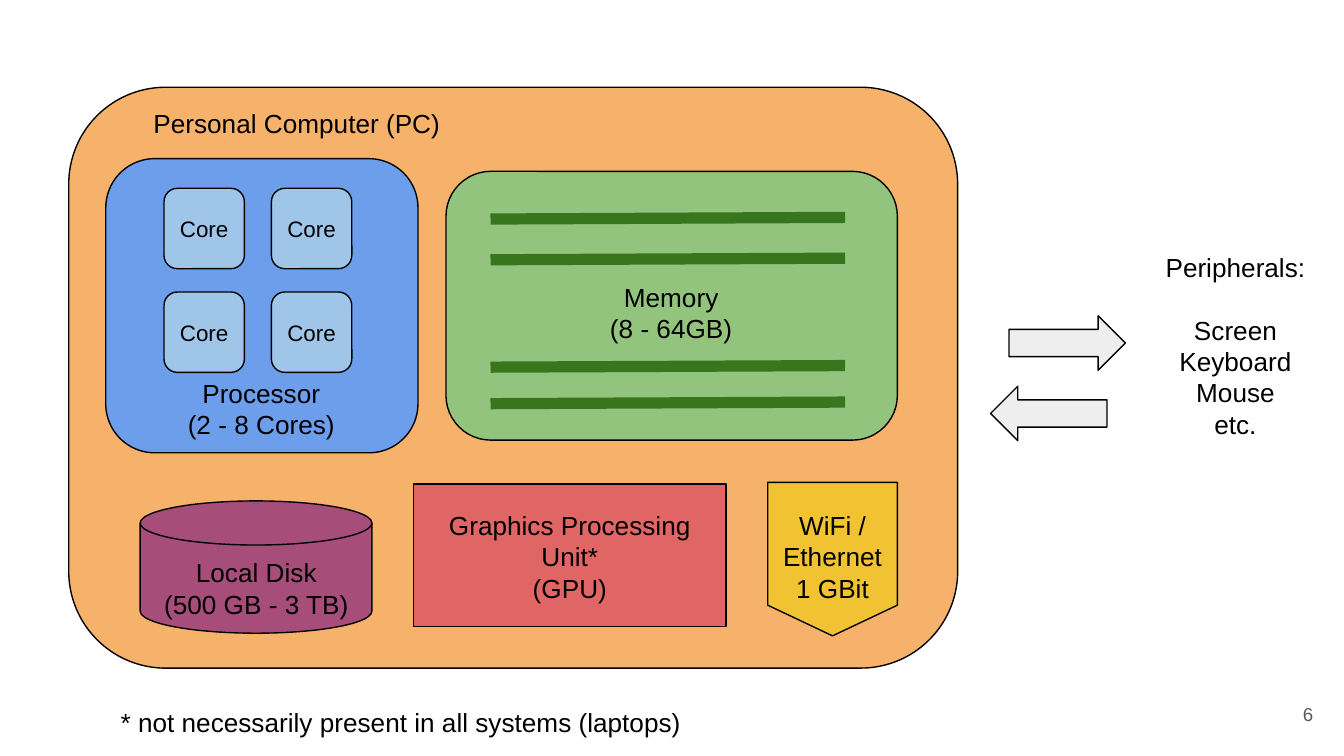
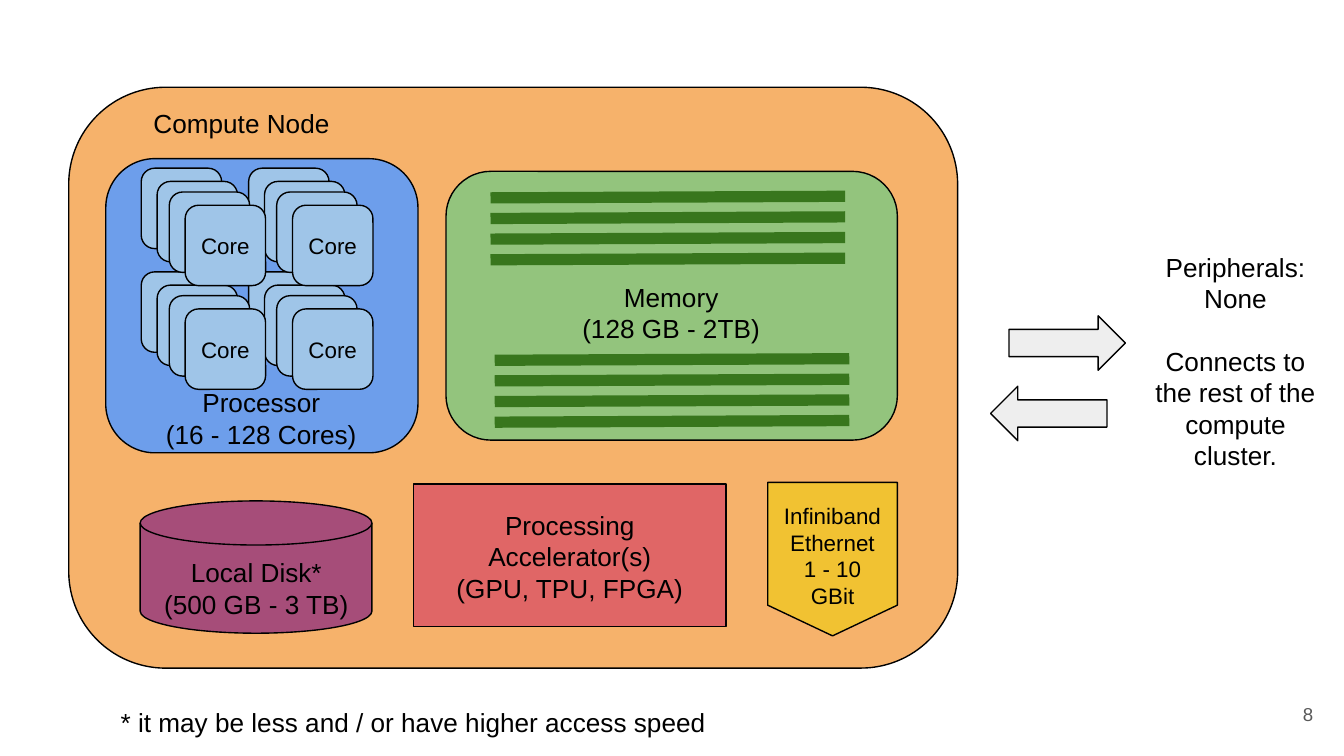
"""Build two slides comparing the hardware of a personal computer and a compute node."""
from itertools import product

from lxml.etree import SubElement
from pptx import Presentation
from pptx.dml.color import RGBColor
from pptx.enum.shapes import MSO_CONNECTOR as Connector, MSO_SHAPE as Shape
from pptx.enum.text import MSO_ANCHOR as Anchor, MSO_AUTO_SIZE as AutoSize, PP_ALIGN as Align
from pptx.oxml.ns import qn
from pptx.util import Cm, Pt

COLORS = {
    "text": "000000",
    "number": "595959",
    "machine": "F6B26B",
    "processor": "6D9EEB",
    "core": "9FC5E8",
    "memory": "93C47D",
    "bar": "38761D",
    "disk": "A64D79",
    "accelerator": "E06666",
    "network": "F1C232",
    "arrow": "EEEEEE",
}
FONT = "Arial"
INSET = 0.25
CORE_SIZE, CORE_PITCH_X, CORE_PITCH_Y = 1.52, 2.03, 1.96
BAR_LENGTH, BAR_RISE = 6.7, 0.03

PARTS = {
    "machine": (Shape.ROUNDED_RECTANGLE, (1.3, 1.65, 16.8, 10.98)),
    "processor": (Shape.ROUNDED_RECTANGLE, (2, 3, 5.9, 5.56)),
    "memory": (Shape.ROUNDED_RECTANGLE, (8.43, 3.24, 8.53, 5.08)),
    "disk": (Shape.FLOWCHART_MAGNETIC_DISK, (2.65, 9.47, 4.38, 2.5)),
    "accelerator": (Shape.RECTANGLE, (7.82, 9.15, 5.9, 2.7)),
    "network": (Shape.FLOWCHART_OFFPAGE_CONNECTOR, (14.51, 9.12, 2.45, 2.9)),
}
ARROWS = [((19.07, 5.97, 2.2, 1.03), 0), ((18.72, 7.3, 2.2, 1.03), 180)]
LABEL_BOXES = {
    "machine": (2.65, 1.78, 6.38, 1.12),
    "memory": (8.81, 5.06, 7.75, 1.7),
    "disk": (0.97, 10.27, 7.75, 1.7),
    "accelerator": (7.82, 9.38, 5.9, 2.9),
    "peripherals": (21.5, 4.5, 3.7, 4.11),
    "note": (2.03, 13.1, 15.3, 1.12),
}
LEFT_ALIGNED = ("machine", "note")
NUMBER_BOX = (23.55, 12.96, 1.52, 1.09)

SLIDES = [
    {
        "number": "6",
        "labels": {
            "machine": ["Personal Computer (PC)"],
            "memory": ["Memory", "(8 - 64GB)"],
            "disk": ["Local Disk", "(500 GB - 3 TB)"],
            "accelerator": ["Graphics Processing Unit*", "(GPU)"],
            "peripherals": ["Peripherals:", "Screen", "Keyboard", "Mouse", "etc."],
            "note": ["* not necessarily present in all systems (laptops)"],
        },
        "processor": (["Processor", "(2 - 8 Cores)"], 6.88),
        "network": (["WiFi /", "Ethernet", "1 GBit"], 9.38, 14, 1),
        "peripherals_gap": 1,
        "core_layers": [(3.1, 3.56)],
        "bars": [(9.27, 4.14), (9.27, 4.91), (9.27, 6.94), (9.27, 7.63)],
    },
    {
        "number": "8",
        "labels": {
            "machine": ["Compute Node"],
            "memory": ["Memory", "(128 GB - 2TB)"],
            "disk": ["Local Disk*", "(500 GB - 3 TB)"],
            "accelerator": ["Processing Accelerator(s)", "(GPU, TPU, FPGA)"],
            "peripherals": ["Peripherals:", "None",
                            "Connects to the rest of the compute cluster."],
            "note": ["* it may be less and / or have higher access speed"],
        },
        "processor": (["Processor", "(16 - 128 Cores)"], 7.06),
        "network": (["Infiniband", "Ethernet", "1 - 10 GBit"], 9.16, 12, 1.15),
        "peripherals_gap": 2,
        "core_layers": [(2.67, 3.18), (2.97, 3.43), (3.2, 3.63), (3.5, 3.88)],
        "bars": [(x, top + 0.39 * row)
                 for x, top in ((9.27, 3.74), (9.35, 6.81)) for row in range(4)],
    },
]


def rgb(name):
    return RGBColor.from_string(COLORS[name])


def lengths(box):
    return [Cm(value) for value in box]


def write(shape, lines, size=14, align=Align.CENTER, color="text", inset=INSET):
    frame = shape.text_frame
    frame.word_wrap = True
    frame.margin_left = frame.margin_right = Cm(inset)
    frame.margin_top = frame.margin_bottom = Cm(inset)
    frame.text = "\n".join(lines)
    for paragraph in frame.paragraphs:
        paragraph.alignment = align
        paragraph.font.name = FONT
        paragraph.font.size = Pt(size)
        paragraph.font.color.rgb = rgb(color)
    return frame


def add_label(slide, box, lines, **style):
    frame = write(slide.shapes.add_textbox(*lengths(box)), lines, **style)
    frame.auto_size = AutoSize.SHAPE_TO_FIT_TEXT
    return frame


def add_part(slide, kind, box, color):
    shape = slide.shapes.add_shape(kind, *lengths(box))
    shape.shadow.inherit = False
    shape.fill.solid()
    shape.fill.fore_color.rgb = rgb(color)
    shape.line.color.rgb = rgb("text")
    shape.line.width = Pt(0.75)
    return shape


def add_cores(slide, layers):
    for left, top in layers:
        for row, column in product(range(2), repeat=2):
            box = (left + column * CORE_PITCH_X, top + row * CORE_PITCH_Y, CORE_SIZE, CORE_SIZE)
            core = add_part(slide, Shape.ROUNDED_RECTANGLE, box, "core")
            if (left, top) == layers[-1]:
                write(core, ["Core"], size=12, inset=0).vertical_anchor = Anchor.MIDDLE


def add_bars(slide, bars):
    for x, y in bars:
        ends = lengths((x, y, x + BAR_LENGTH, y - BAR_RISE))
        bar = slide.shapes.add_connector(Connector.STRAIGHT, *ends)
        bar.line.color.rgb = rgb("bar")
        bar.line.width = Pt(6)
        SubElement(bar._element.spPr, qn("a:effectLst"))


def build_slide(presentation, content):
    slide = presentation.slides.add_slide(presentation.slide_layouts[6])
    number = write(slide.shapes.add_textbox(*lengths(NUMBER_BOX)), [content["number"]],
                   size=10, align=Align.RIGHT, color="number")
    number.vertical_anchor = Anchor.MIDDLE

    for name, (kind, box) in PARTS.items():
        add_part(slide, kind, box, name)
    add_cores(slide, content["core_layers"])
    add_bars(slide, content["bars"])
    for box, rotation in ARROWS:
        add_part(slide, Shape.RIGHT_ARROW, box, "arrow").rotation = rotation

    frames = {}
    for name, lines in content["labels"].items():
        align = Align.LEFT if name in LEFT_ALIGNED else Align.CENTER
        frames[name] = add_label(slide, LABEL_BOXES[name], lines, align=align)
    frames["peripherals"].paragraphs[content["peripherals_gap"]].space_before = Pt(16.8)

    lines, top = content["processor"]
    add_label(slide, (2.54, top, 4.8, 1.7), lines)
    lines, top, size, spacing = content["network"]
    network = add_label(slide, (14.51, top, 2.45, 2.31), lines, size=size)
    network.paragraphs[0].line_spacing = spacing


def main():
    presentation = Presentation()
    presentation.slide_width, presentation.slide_height = Cm(25.4), Cm(14.29)
    for content in SLIDES:
        build_slide(presentation, content)
    presentation.save("out.pptx")


if __name__ == "__main__":
    main()
